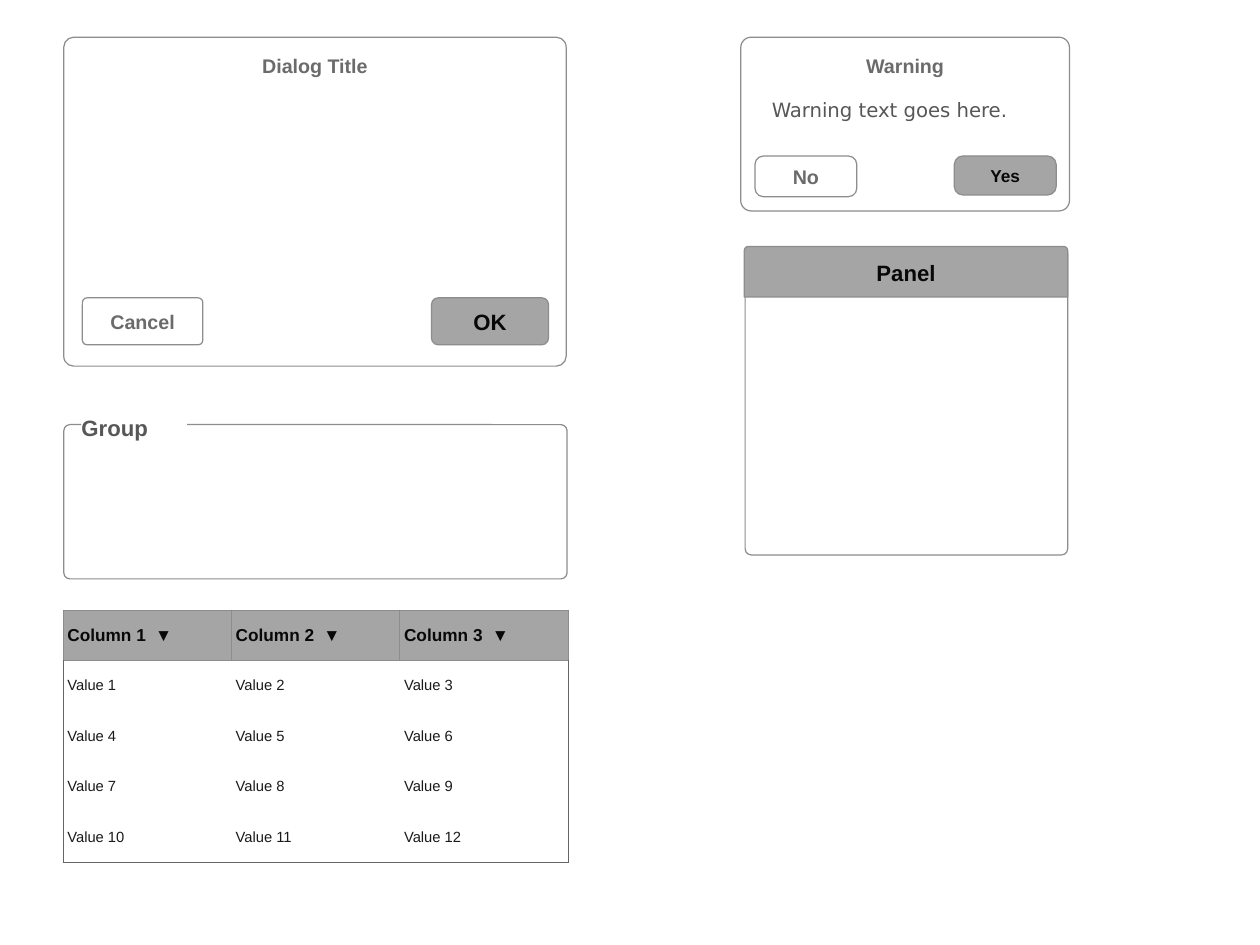
"""Build a slide of wireframe widgets: dialogs, a group, a panel and a table."""
from lxml import etree
from pptx import Presentation
from pptx import util as u
from pptx.dml import color
from pptx.enum import shapes, text
from pptx.oxml import ns

COLORS = {
    "white": "FFFFFF",
    "gray": "A5A5A5",
    "outline": "8D8D8D",
    "frame": "666666",
    "title": "6B6B6B",
    "body": "575757",
    "strong": "080808",
    "value": "1A1A1A",
}
ROUND = shapes.MSO_SHAPE.ROUNDED_RECTANGLE
PLAIN = shapes.MSO_SHAPE.RECTANGLE
HEADER = shapes.MSO_SHAPE.ROUND_2_SAME_RECTANGLE
COLUMNS, ROWS = 3, 5
COLUMN_WIDTH, ROW_HEIGHT = 1.9, 0.57


def rgb(name):
    """Return the named colour."""
    return color.RGBColor.from_string(COLORS[name])


def add_span(para, words, size=16, ink="title", bold=True, font="Arial"):
    """Append formatted words to a paragraph."""
    span = para.add_run()
    span.text = words
    span.font.size = u.Pt(size)
    span.font.name = font
    span.font.bold = bold
    span.font.color.rgb = rgb(ink)


def write(box, words, inset=0, anchor="MIDDLE", align="CENTER", **style):
    """Write one formatted paragraph into a shape."""
    frame = box.text_frame
    frame.word_wrap = True
    frame.margin_left = frame.margin_right = u.Inches(inset)
    frame.margin_top = frame.margin_bottom = u.Inches(inset)
    frame.vertical_anchor = text.MSO_ANCHOR[anchor]
    para = frame.paragraphs[0]
    para.alignment = text.PP_ALIGN[align]
    add_span(para, words, **style)


def add_box(group, place, kind=ROUND, radius=None, fill="white", line="outline"):
    """Add a filled shape, outlined unless line is None."""
    box = group.shapes.add_shape(kind, *map(u.Inches, place))
    box.shadow.inherit = False
    box.fill.solid()
    box.fill.fore_color.rgb = rgb(fill)
    if line:
        box.line.color.rgb = rgb(line)
        box.line.width = u.Pt(1)
    else:
        box.line.fill.background()
    if radius is not None:
        box.adjustments[0] = radius
    return box


def add_dialog(group, place, radius, title):
    """Add a dialog frame with its title at the top."""
    write(add_box(group, place, radius=radius), title, inset=0.15, anchor="TOP")


def add_button(group, place, radius, label, size=16, default=False):
    """Add a button, shaded when it is the default one."""
    box = add_box(group, place, radius=radius, fill="gray" if default else "white")
    write(box, label, size=size, ink="strong" if default else "title")


def set_border(cell, side, ink):
    """Draw one side of a cell, or hide it when ink is None."""
    line = etree.SubElement(cell._tc.get_or_add_tcPr(), ns.qn(f"a:ln{side}"), w=str(u.Pt(0.45)))
    if ink:
        fill = etree.SubElement(line, ns.qn("a:solidFill"))
        etree.SubElement(fill, ns.qn("a:srgbClr"), val=COLORS[ink])
    else:
        etree.SubElement(line, ns.qn("a:noFill"))


def border_inks(row, column):
    """Return the left, right, top and bottom border colours of a cell."""
    if row == 0:
        return dict.fromkeys("LRTB", "outline")
    return {
        "L": "frame" if column == 0 else None,
        "R": "frame" if column == COLUMNS - 1 else None,
        "T": "outline" if row == 1 else None,
        "B": "frame" if row == ROWS - 1 else None,
    }


def add_tab(para, position):
    """Set one left tab stop in a paragraph."""
    stops = etree.SubElement(para._p.get_or_add_pPr(), ns.qn("a:tabLst"))
    etree.SubElement(stops, ns.qn("a:tab"), pos=str(u.Inches(position)), algn="l")


def fill_cell(cell, row, column):
    """Format a table cell and write its heading or value."""
    for side, ink in border_inks(row, column).items():
        set_border(cell, side, ink)
    cell.fill.solid()
    cell.fill.fore_color.rgb = rgb("white" if row else "gray")
    cell.vertical_anchor = text.MSO_ANCHOR.MIDDLE
    cell.margin_left = cell.margin_right = u.Inches(0.05)
    cell.margin_top = cell.margin_bottom = u.Inches(0.05)
    para = cell.text_frame.paragraphs[0]
    if row:
        number = (row - 1) * COLUMNS + column + 1
        add_span(para, f"Value {number}", size=12, ink="value", bold=False)
    else:
        add_tab(para, 0.99)
        add_span(para, f"Column {column + 1}\t", size=14, ink="strong")
        add_span(para, "▼", size=14, ink="strong", bold=False)


def add_value_table(slide):
    """Add the table of sortable columns."""
    place = (0.71, 6.88, COLUMNS * COLUMN_WIDTH, ROWS * ROW_HEIGHT)
    table = slide.shapes.add_table(ROWS, COLUMNS, *map(u.Inches, place)).table
    table.first_row = table.horz_banding = False
    for column in table.columns:
        column.width = u.Inches(COLUMN_WIDTH)
    for row in range(ROWS):
        table.rows[row].height = u.Inches(ROW_HEIGHT)
        for column in range(COLUMNS):
            fill_cell(table.cell(row, column), row, column)


def main():
    """Build and save the deck."""
    deck = Presentation()
    deck.slide_width, deck.slide_height = u.Inches(14.22), u.Inches(10.66)
    slide = deck.slides.add_slide(deck.slide_layouts.get_by_name("Blank"))
    group_box, dialog, warning, panel = [slide.shapes.add_group_shape() for _ in range(4)]

    add_box(group_box, (0.72, 4.79, 5.68, 1.74), radius=0.04)
    add_box(group_box, (0.92, 4.63, 1.19, 0.38), PLAIN, line=None)
    label = add_box(group_box, (0.92, 4.67, 1, 0.31), PLAIN, line=None)
    write(label, "Group", align="LEFT", size=18, ink="body")

    add_dialog(dialog, (0.72, 0.42, 5.67, 3.71), 0.03, "Dialog Title")
    add_button(dialog, (0.93, 3.36, 1.36, 0.53), 0.1, "Cancel")
    add_button(dialog, (4.87, 3.36, 1.32, 0.53), 0.14, "OK", size=18, default=True)

    add_dialog(warning, (8.36, 0.42, 3.71, 1.96), 0.06, "Warning")
    message = warning.shapes.add_textbox(*map(u.Inches, (8.71, 1.11, 3.08, 0.26)))
    write(message, "Warning text goes here.", align="LEFT", ink="body", bold=False, font="DejaVu Sans")
    add_button(warning, (8.52, 1.76, 1.15, 0.46), 0.21, "No")
    add_button(warning, (10.77, 1.76, 1.15, 0.44), 0.22, "Yes", size=14, default=True)

    add_box(panel, (8.41, 2.79, 3.64, 3.47), radius=0.02)
    header = add_box(panel, (8.4, 2.78, 3.65, 0.57), HEADER, radius=0.08, fill="gray")
    write(header, "Panel", size=18, ink="strong")

    add_value_table(slide)
    deck.save("out.pptx")


if __name__ == "__main__":
    main()
